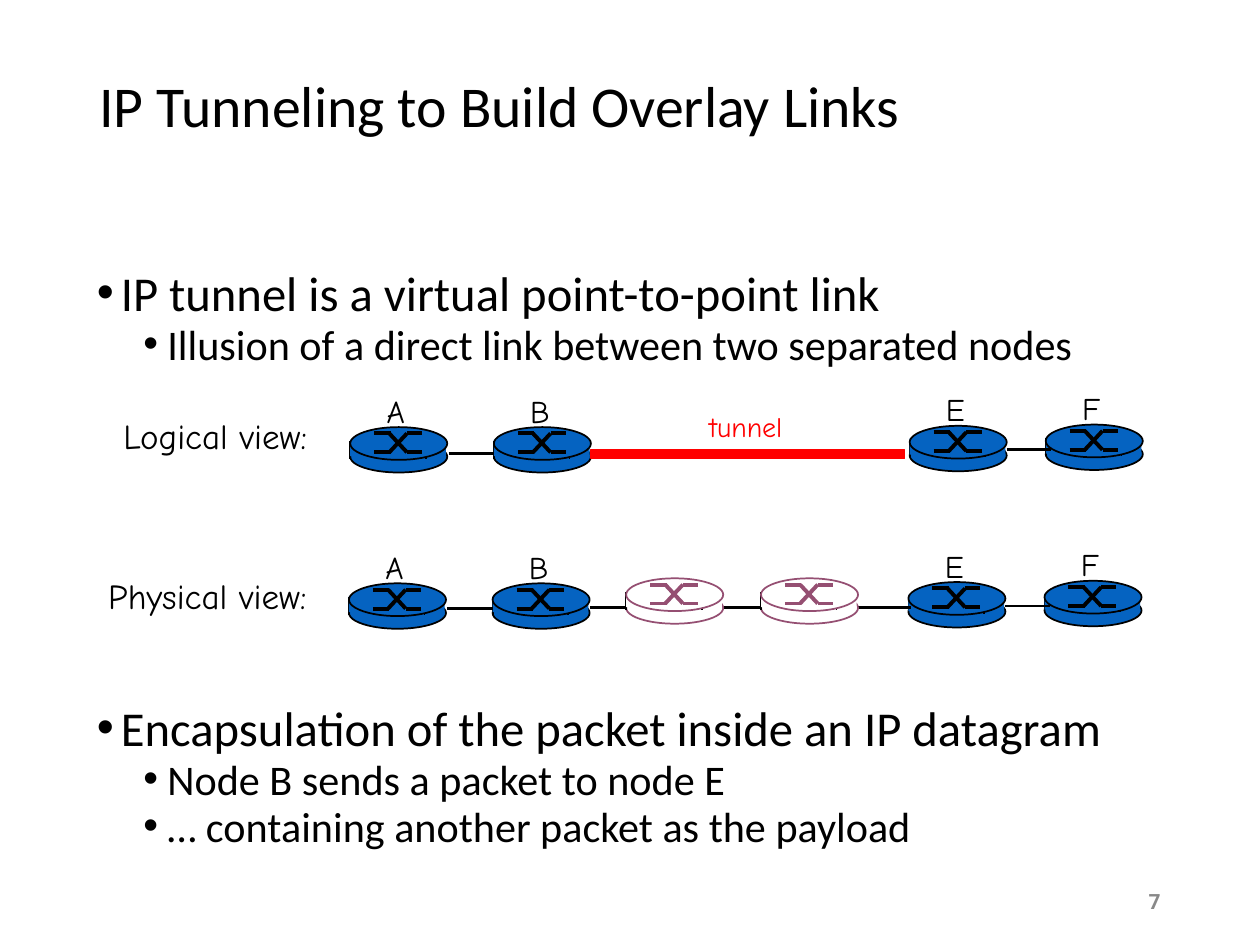
import dataclasses
from typing import Any

import lxml.etree
import pptx
import pptx.dml.color
import pptx.enum.shapes
import pptx.enum.text
import pptx.oxml.ns
import pptx.util

Inches = pptx.util.Inches
Pt = pptx.util.Pt
qn = pptx.oxml.ns.qn
Shapes = pptx.enum.shapes.MSO_SHAPE
Anchor = pptx.enum.text.MSO_ANCHOR
Align = pptx.enum.text.PP_ALIGN

BLACK, WHITE, BLUE, PURPLE, RED = "000000", "FFFFFF", "0563C1", "954F72", "FF0000"
HAND = "Comic Neue"
ROUTER_WIDTH = 0.77
SYMBOL = [
    (0.19, 0.05, 0.32, 0.05),
    (0.45, 0.2, 0.57, 0.2),
    (0.31, 0.05, 0.45, 0.2),
    (0.19, 0.2, 0.32, 0.2),
    (0.45, 0.05, 0.57, 0.05),
    (0.31, 0.2, 0.45, 0.05),
]


@dataclasses.dataclass
class Router:
    left: float
    top: float
    label: str = ""
    fill: str = BLUE
    line: str = BLACK


@dataclasses.dataclass
class Link:
    start: float
    end: float
    y: float


@dataclasses.dataclass
class Bullet:
    text: str
    level: int = 0


def color(value: str) -> pptx.dml.color.RGBColor:
    return pptx.dml.color.RGBColor.from_string(value)


def set_values(target: Any, values: dict[str, Any]) -> None:
    for name, value in values.items():
        setattr(target, name, value)


def add_box(shapes: Any, left: float, top: float, width: float, height: float, **values: Any) -> Any:
    shape = shapes.add_textbox(Inches(left), Inches(top), Inches(width), Inches(height))
    set_values(shape.text_frame, {"word_wrap": True} | values)
    return shape.text_frame


def write(paragraph: Any, text: str, size: float, font: str, ink: str = BLACK, bold: bool = False) -> None:
    run = paragraph.add_run()
    run.text = text
    set_values(run.font, {"size": Pt(size), "name": font, "bold": bold})
    run.font.color.rgb = color(ink)


def add_label(shapes: Any, text: str, left: float, top: float, width: float,
              height: float, size: float, ink: str = BLACK) -> None:
    fit = pptx.enum.text.MSO_AUTO_SIZE.SHAPE_TO_FIT_TEXT
    frame = add_box(shapes, left, top, width, height, word_wrap=False, auto_size=fit)
    write(frame.paragraphs[0], text, size, HAND, ink)


def add_bullets(shapes: Any, top: float, height: float, bullets: list[Bullet]) -> None:
    frame = add_box(shapes, 0.67, top, 8.62, height)
    for index, bullet in enumerate(bullets):
        paragraph = frame.add_paragraph() if index else frame.paragraphs[0]
        size, before, indent = ((27.8, 7.5, 0.19), (24.1, 3.8, 0.56))[bullet.level]
        set_values(paragraph, {"level": bullet.level, "line_spacing": 0.8, "space_before": Pt(before)})
        properties = paragraph._p.get_or_add_pPr()
        properties.set("marL", str(Inches(indent)))
        properties.set("indent", str(Inches(-0.19)))
        lxml.etree.SubElement(properties, qn("a:buFont")).set("typeface", "Arial")
        lxml.etree.SubElement(properties, qn("a:buChar")).set("char", "•")
        write(paragraph, bullet.text, size, "Calibri")


def add_solid(shapes: Any, kind: Any, left: float, top: float, width: float, height: float,
              fill: str, line: str = "", weight: float = 1) -> None:
    shape = shapes.add_shape(kind, Inches(left), Inches(top), Inches(width), Inches(height))
    shape.shadow.inherit = False
    shape.fill.solid()
    shape.fill.fore_color.rgb = color(fill)
    if line:
        shape.line.color.rgb = color(line)
        shape.line.width = Pt(weight)
    else:
        shape.line.fill.background()


def add_line(shapes: Any, start_x: float, start_y: float, end_x: float, end_y: float,
             ink: str, weight: float) -> None:
    straight = pptx.enum.shapes.MSO_CONNECTOR.STRAIGHT
    connector = shapes.add_connector(
        straight, Inches(start_x), Inches(start_y), Inches(end_x), Inches(end_y))
    connector.line.color.rgb = color(ink)
    connector.line.width = Pt(weight)
    lxml.etree.SubElement(connector._element.spPr, qn("a:effectLst"))


def add_router(slide: Any, router: Router) -> None:
    shapes = slide.shapes.add_group_shape().shapes
    left, top = router.left, router.top
    add_solid(shapes, Shapes.OVAL, left, top + 0.11, ROUTER_WIDTH, 0.25, router.fill, router.line)
    for offset in (0, 0.6):
        add_line(shapes, left + offset, top + 0.11, left + offset, top + 0.25, BLACK, 1)
    add_solid(shapes, Shapes.RECTANGLE, left, top + 0.1, 0.76, 0.13, router.fill)
    add_solid(shapes, Shapes.OVAL, left, top, ROUTER_WIDTH, 0.26, router.fill, router.line)
    for start_x, start_y, end_x, end_y in SYMBOL:
        add_line(shapes, left + start_x, top + start_y, left + end_x, top + end_y, router.line, 2.25)
    if router.label:
        add_label(shapes, router.label, left + 0.19, top - 0.33, 0.36, 0.4, 18)


def add_view(slide: Any, routers: list[Router], links: list[Link]) -> None:
    for router in routers:
        add_router(slide, router)
    for link in links:
        add_line(slide.shapes, link.start, link.y, link.end, link.y, BLACK, 1.5)


def main() -> None:
    presentation = pptx.Presentation()
    set_values(presentation, {"slide_width": Inches(10), "slide_height": Inches(7.5)})
    slide = presentation.slides.add_slide(presentation.slide_layouts[6])
    shapes = slide.shapes

    title = add_box(shapes, 0.69, 0.4, 8.62, 0.93, vertical_anchor=Anchor.MIDDLE).paragraphs[0]
    title.line_spacing = 0.9
    write(title, "IP Tunneling to Build Overlay Links", 33, "Calibri")

    add_bullets(shapes, 2.13, 0.95, [
        Bullet("IP tunnel is a virtual point-to-point link"),
        Bullet("Illusion of a direct link between two separated nodes", 1),
    ])
    add_bullets(shapes, 5.58, 1.31, [
        Bullet("Encapsulation of the packet inside an IP datagram"),
        Bullet("Node B sends a packet to node E", 1),
        Bullet("… containing another packet as the payload", 1),
    ])

    number = add_box(shapes, 7.06, 6.95, 2.25, 0.4, vertical_anchor=Anchor.MIDDLE).paragraphs[0]
    number.alignment = Align.RIGHT
    write(number, "7", 12, "Roboto", "898989", True)

    logical = [Router(2.78, 3.39, "A"), Router(3.92, 3.39, "B"),
               Router(7.22, 3.38, "E"), Router(8.3, 3.37, "F")]
    physical = [Router(router.left - 0.01, router.top + 1.24, router.label) for router in logical]
    transit = [Router(left, 4.59, fill=WHITE, line=PURPLE) for left in (4.97, 6.04)]

    add_view(slide, logical, [Link(3.56, 3.92, 3.6), Link(7.99, 8.34, 3.57)])
    add_solid(shapes, Shapes.RECTANGLE, 4.69, 3.57, 2.49, 0.07, RED, RED, 0.75)
    add_label(shapes, "tunnel", 5.53, 3.2, 0.84, 0.37, 16, RED)
    add_label(shapes, "Logical view:", 0.88, 3.24, 1.81, 0.43, 20)
    add_label(shapes, "Physical view:", 0.76, 4.51, 1.95, 0.43, 20)
    add_view(slide, physical, [Link(3.55, 3.91, 4.83), Link(7.98, 8.33, 4.81), Link(4.68, 7.23, 4.82)])
    add_view(slide, transit, [])

    presentation.save("out.pptx")


if __name__ == "__main__":
    main()
